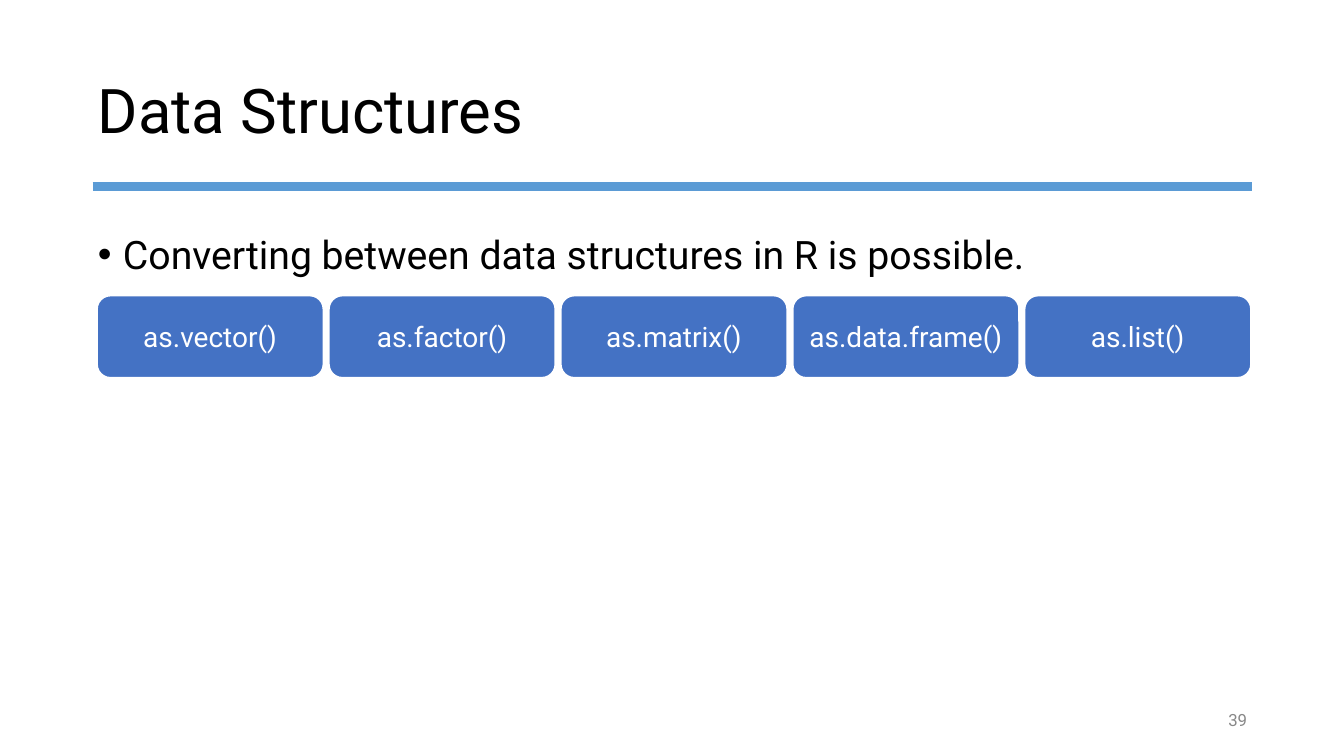
from lxml import etree
from pptx import Presentation
from pptx import util as u
from pptx.dml.color import RGBColor
from pptx.enum import shapes, text
from pptx.oxml.ns import qn

PX = 9144
FONT = "Roboto"
COLORS = {
    "ink": "000000",
    "rule": "5B9BD5",
    "box": "4472C4",
    "white": "FFFFFF",
    "number": "888888",
}
CONVERTERS = ["as.vector()", "as.factor()", "as.matrix()", "as.data.frame()", "as.list()"]


def color(name):
    return RGBColor.from_string(COLORS[name])


def write(shape, words, size, ink="ink", align="LEFT", anchor="MIDDLE",
          spacing=1.0, bullet=None, wrap=True):
    frame = shape.text_frame
    frame.word_wrap = wrap
    frame.auto_size = text.MSO_AUTO_SIZE.NONE
    frame.vertical_anchor = text.MSO_ANCHOR[anchor]
    frame.margin_left = frame.margin_right = 5 * PX
    frame.margin_top = frame.margin_bottom = 5 * PX
    paragraph = frame.paragraphs[0]
    paragraph.text = words
    paragraph.alignment = text.PP_ALIGN[align]
    paragraph.line_spacing = spacing
    if bullet:
        properties = paragraph._p.get_or_add_pPr()
        properties.set("marL", str(25 * PX))
        properties.set("indent", str(-25 * PX))
        etree.SubElement(properties, qn("a:buFont"), typeface="Arial")
        etree.SubElement(properties, qn("a:buChar"), char=bullet)
    font = paragraph.runs[0].font
    font.name = FONT
    font.size = u.Pt(size)
    font.color.rgb = color(ink)


class Deck:
    def __init__(self, width, height):
        self.presentation = Presentation()
        self.presentation.slide_width = width * PX
        self.presentation.slide_height = height * PX
        self.slide = self.presentation.slides.add_slide(self.presentation.slide_layouts[5])

    def title(self, words, left, top, width, height):
        shape = self.slide.shapes.title
        shape.left, shape.top = left * PX, top * PX
        shape.width, shape.height = width * PX, height * PX
        write(shape, words, 44, spacing=0.9)

    def rule(self, left, right, y):
        line = self.slide.shapes.add_connector(
            shapes.MSO_CONNECTOR.STRAIGHT, left * PX, y * PX, right * PX, y * PX)
        line.line.color.rgb = color("rule")
        line.line.width = u.Pt(6)
        etree.SubElement(line._element.spPr, qn("a:effectLst"))

    def text_box(self, words, left, top, width, height, **style):
        shape = self.slide.shapes.add_textbox(left * PX, top * PX, width * PX, height * PX)
        write(shape, words, **style)

    def rounded_box(self, words, left, top, width, height):
        shape = self.slide.shapes.add_shape(
            shapes.MSO_SHAPE.ROUNDED_RECTANGLE, left * PX, top * PX, width * PX, height * PX)
        shape.shadow.inherit = False
        shape.fill.solid()
        shape.fill.fore_color.rgb = color("box")
        shape.line.color.rgb = color("white")
        shape.line.width = u.Pt(1.5)
        write(shape, words, 20, ink="white", align="CENTER")


def main():
    deck = Deck(1333, 750)
    deck.title("Data Structures", 92, 40, 1150, 145)
    deck.rule(92, 1242, 185)
    for index, name in enumerate(CONVERTERS):
        deck.rounded_box(name, 96 + 230 * index, 293, 225, 82)
    deck.text_box("Converting between data structures in R is possible.",
                  92, 200, 1150, 476, size=28, anchor="TOP", spacing=1.5, bullet="•")
    deck.text_box("39", 1212, 700, 30, 29, size=12, ink="number", align="RIGHT", wrap=False)
    deck.presentation.save("out.pptx")


if __name__ == "__main__":
    main()
